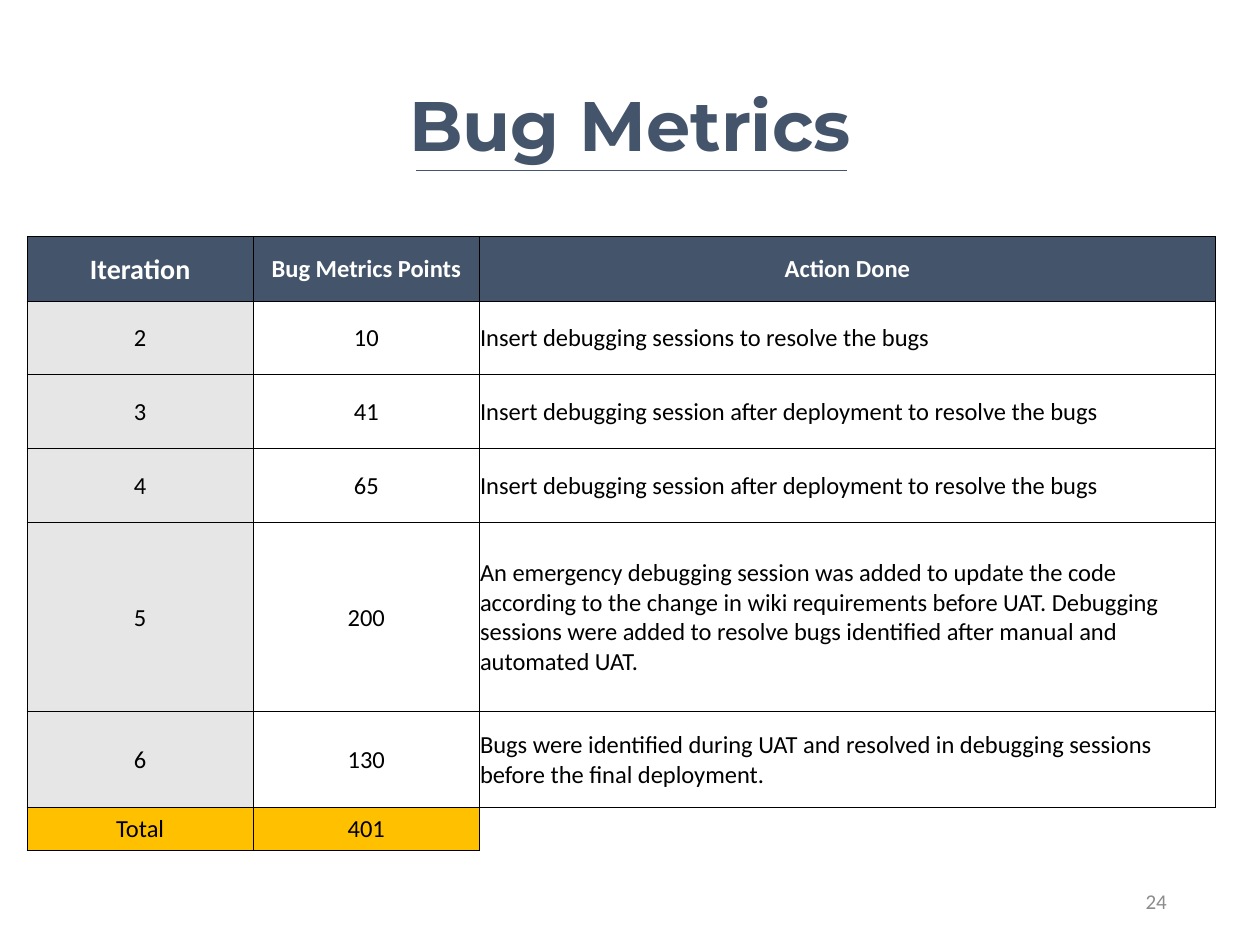
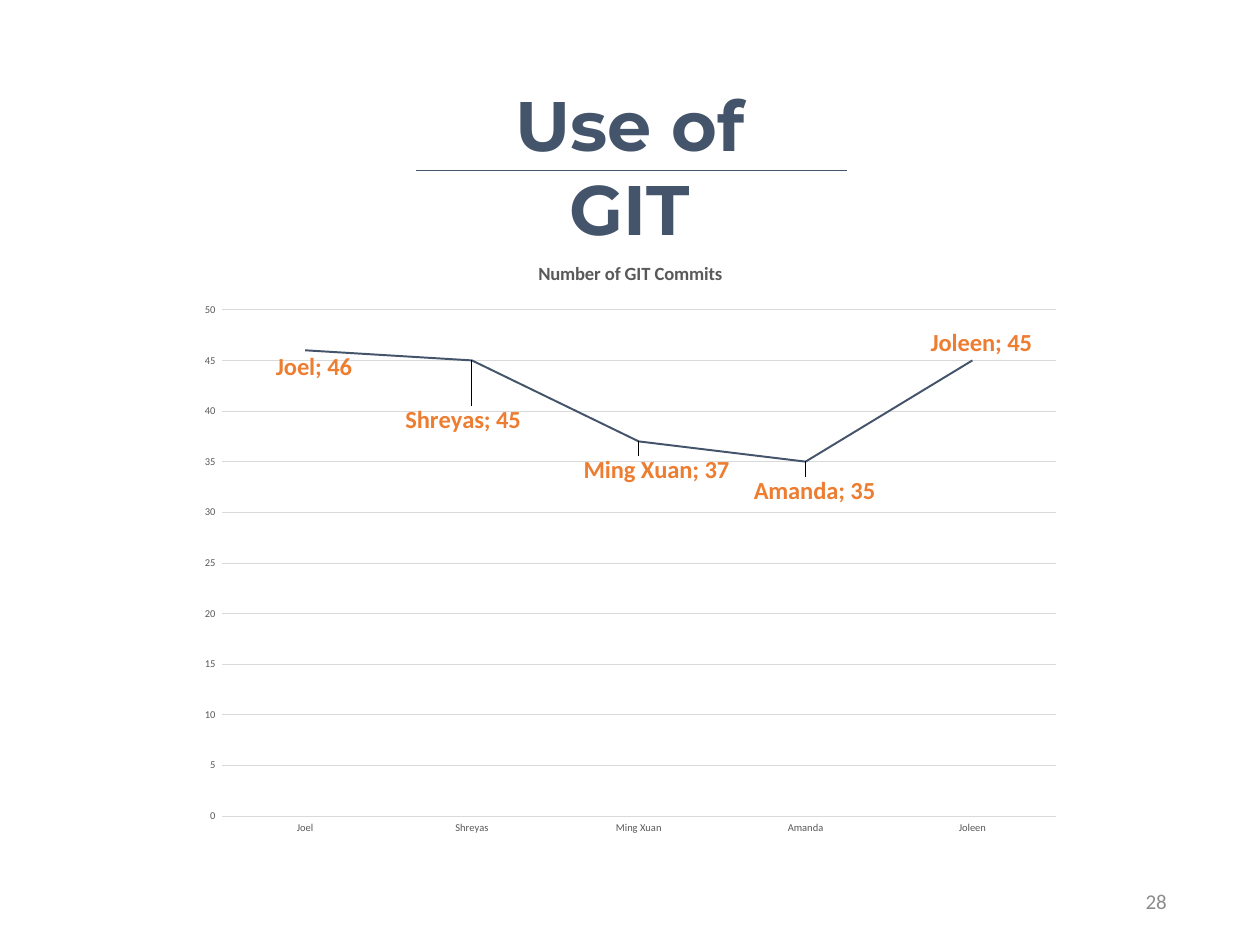
from lxml import etree
from pptx import Presentation, util as u
from pptx.chart.data import CategoryChartData
from pptx.dml.color import RGBColor
from pptx.enum import chart as charts, shapes, text
from pptx.oxml import parse_xml
from pptx.oxml.ns import nsdecls, qn

NAVY, GREY, GOLD, ORANGE = "44546A", "E7E6E6", "FFC000", "ED7D31"
BLACK, WHITE, AXIS_GREY, GRID_GREY, NUMBER_GREY = "000000", "FFFFFF", "595959", "D9D9D9", "8C8C8C"
BODY = "Calibri"
ALIGN = text.PP_ALIGN

BUG_ROWS = [
    ("Iteration", "Bug Metrics Points", "Action Done"),
    ("2", "10", "Insert debugging sessions to resolve the bugs"),
    ("3", "41", "Insert debugging session after deployment to resolve the bugs"),
    ("4", "65", "Insert debugging session after deployment to resolve the bugs"),
    ("5", "200", "An emergency debugging session was added to update the code "
                 "according to the change in wiki requirements before UAT. Debugging "
                 "sessions were added to resolve bugs identified after manual and "
                 "automated UAT."),
    ("6", "130", "Bugs were identified during UAT and resolved in debugging sessions "
                 "before the final deployment."),
    ("Total", "401", ""),
]
COLUMN_WIDTHS = (3.59, 3.59, 11.68)
ROW_HEIGHTS = (1.03, 1.16, 1.16, 1.19, 3, 1.51, 0.69)

# Committer, commits, label side, label shift as a share of the chart
BELOW, ABOVE = charts.XL_LABEL_POSITION.BELOW, charts.XL_LABEL_POSITION.ABOVE
COMMITS = [
    ("Joel", 46, BELOW, 0.01, 0),
    ("Shreyas", 45, BELOW, -0.01, 0.07),
    ("Ming Xuan", 37, BELOW, 0.02, 0.02),
    ("Amanda", 35, BELOW, 0.01, 0.02),
    ("Joleen", 45, ABOVE, 0.01, 0),
]


def color(hex_code):
    return RGBColor.from_string(hex_code)


def set_all(target, values):
    for name, value in values.items():
        setattr(target, name, value)


def set_font(font, size, hex_code, bold=False, name=BODY):
    set_all(font, {"size": u.Pt(size), "bold": bold, "name": name})
    font.color.rgb = color(hex_code)


def inches(box):
    return [u.Inches(value) for value in box]


def write(frame, words, align, **font):
    paragraph = frame.paragraphs[0]
    paragraph.alignment = align
    run = paragraph.add_run()
    run.text = words
    set_font(run.font, **font)


def add_titled_slide(prs, title, title_width, number):
    """Slide with a centred title, the rule under it and the page number."""
    slide = prs.slides.add_slide(prs.slide_layouts[5])

    # Title
    heading = slide.shapes.title
    box = inches((10 - title_width / 2, 1.25, title_width, 1.45))
    set_all(heading, dict(zip(("left", "top", "width", "height"), box)))
    set_all(heading.text_frame, {
        "word_wrap": True,
        "auto_size": text.MSO_AUTO_SIZE.SHAPE_TO_FIT_TEXT,
        "vertical_anchor": text.MSO_ANCHOR.TOP,
    })
    write(heading.text_frame, title, ALIGN.CENTER,
          size=80, hex_code=NAVY, bold=True, name="Montserrat")

    # Rule under the title
    rule = slide.shapes.add_connector(
        shapes.MSO_CONNECTOR.STRAIGHT, *inches((6.61, 2.7, 13.45, 2.7)))
    rule.line.color.rgb = color(NAVY)
    rule.line.width = u.Pt(0.5)
    etree.SubElement(rule._element.spPr, qn("a:effectLst"))

    # Page number
    page = slide.shapes.add_textbox(*inches((14.12, 13.9, 4.5, 0.8))).text_frame
    set_all(page, {"word_wrap": True, "vertical_anchor": text.MSO_ANCHOR.MIDDLE})
    write(page, number, ALIGN.RIGHT, size=24, hex_code=NUMBER_GREY)
    return slide


def set_borders(cell, drawn_sides):
    properties = cell._tc.get_or_add_tcPr()
    for side in "LRTB":
        paint = (f'<a:solidFill><a:srgbClr val="{BLACK}"/></a:solidFill>'
                 if side in drawn_sides else "<a:noFill/>")
        properties.append(parse_xml(
            f'<a:ln{side} {nsdecls("a")} w="{u.Pt(1)}">{paint}</a:ln{side}>'))


def cell_fill(row, column):
    if row == 0:
        return NAVY
    if row == len(BUG_ROWS) - 1:
        return GOLD if column < 2 else WHITE
    return GREY if column == 0 else WHITE


def add_bug_table(slide, box):
    table = slide.shapes.add_table(
        len(BUG_ROWS), len(COLUMN_WIDTHS), *inches(box)).table
    set_all(table, {"first_row": False, "horz_banding": False})
    for column, width in zip(table.columns, COLUMN_WIDTHS):
        column.width = u.Inches(width)
    for row, height in zip(table.rows, ROW_HEIGHTS):
        row.height = u.Inches(height)

    for r, row in enumerate(BUG_ROWS):
        for c, words in enumerate(row):
            cell = table.cell(r, c)
            set_borders(cell, "LRTB" if words else "LT")
            cell.fill.solid()
            cell.fill.fore_color.rgb = color(cell_fill(r, c))
            set_all(cell, {
                "margin_left": u.Inches(0.01), "margin_right": u.Inches(0.01),
                "margin_top": u.Inches(0.01), "margin_bottom": 0,
                "vertical_anchor": text.MSO_ANCHOR.MIDDLE,
            })
            if words:
                header = r == 0
                write(cell.text_frame, words,
                      ALIGN.CENTER if header or c < 2 else ALIGN.LEFT,
                      size=32 if header and c == 0 else 28,
                      hex_code=WHITE if header else BLACK, bold=header)


def add_commit_labels(chart, series):
    labels = series.data_labels
    set_all(labels, {"show_value": True, "show_category_name": True})
    set_font(labels.font, 28, ORANGE, True)
    for i, (_, _, side, _, _) in enumerate(COMMITS):
        label = series.points[i].data_label
        set_font(label.font, 28, ORANGE, True)
        label.position = side

    # Category names, separator and shift of each label
    for label, (_, _, _, dx, dy) in zip(chart._chartSpace.xpath(".//c:dLbl"), COMMITS):
        label.find(qn("c:showCatName")).set("val", "1")
        etree.SubElement(label, qn("c:separator")).text = "; "
        label.find(qn("c:idx")).addnext(parse_xml(
            f'<c:layout {nsdecls("c")}><c:manualLayout>'
            f'<c:x val="{dx}"/><c:y val="{dy}"/></c:manualLayout></c:layout>'))


def add_commit_chart(slide, box):
    heading = "Number of GIT Commits"
    data = CategoryChartData()
    data.categories = [commit[0] for commit in COMMITS]
    data.add_series(heading, [commit[1] for commit in COMMITS])
    chart = slide.shapes.add_chart(
        charts.XL_CHART_TYPE.LINE, *inches(box), data).chart
    set_all(chart, {"has_legend": False, "has_title": True})
    set_font(chart.font, 10, BLACK)
    write(chart.chart_title.text_frame, heading, ALIGN.CENTER,
          size=21.3, hex_code=AXIS_GREY, bold=True)
    chart.chart_title.include_in_layout = False

    # Axes and gridlines
    for axis in (chart.category_axis, chart.value_axis):
        set_font(axis.tick_labels.font, 12, AXIS_GREY)
        axis.format.line.fill.background()
    set_all(chart.value_axis, {"minimum_scale": 0, "maximum_scale": 50,
                               "major_unit": 5, "has_major_gridlines": True})
    grid = chart.value_axis.major_gridlines.format.line
    grid.color.rgb = color(GRID_GREY)
    grid.width = u.Pt(0.75)

    # Commit line
    chart.plots[0].vary_by_categories = False
    series = chart.plots[0].series[0]
    series.smooth = False
    series.marker.style = charts.XL_MARKER_STYLE.NONE
    series.format.line.color.rgb = color(NAVY)
    series.format.line.width = u.Pt(2.25)
    add_commit_labels(chart, series)


def main():
    prs = Presentation()
    prs.slide_width, prs.slide_height = inches((20, 15))
    add_bug_table(add_titled_slide(prs, "Bug Metrics", 7.28, "24"),
                  (0.43, 3.76, sum(COLUMN_WIDTHS), sum(ROW_HEIGHTS)))
    add_commit_chart(add_titled_slide(prs, "Use of GIT", 4.98, "28"),
                     (2.97, 3.84, 14.07, 9.6))
    prs.save("out.pptx")


if __name__ == "__main__":
    main()
